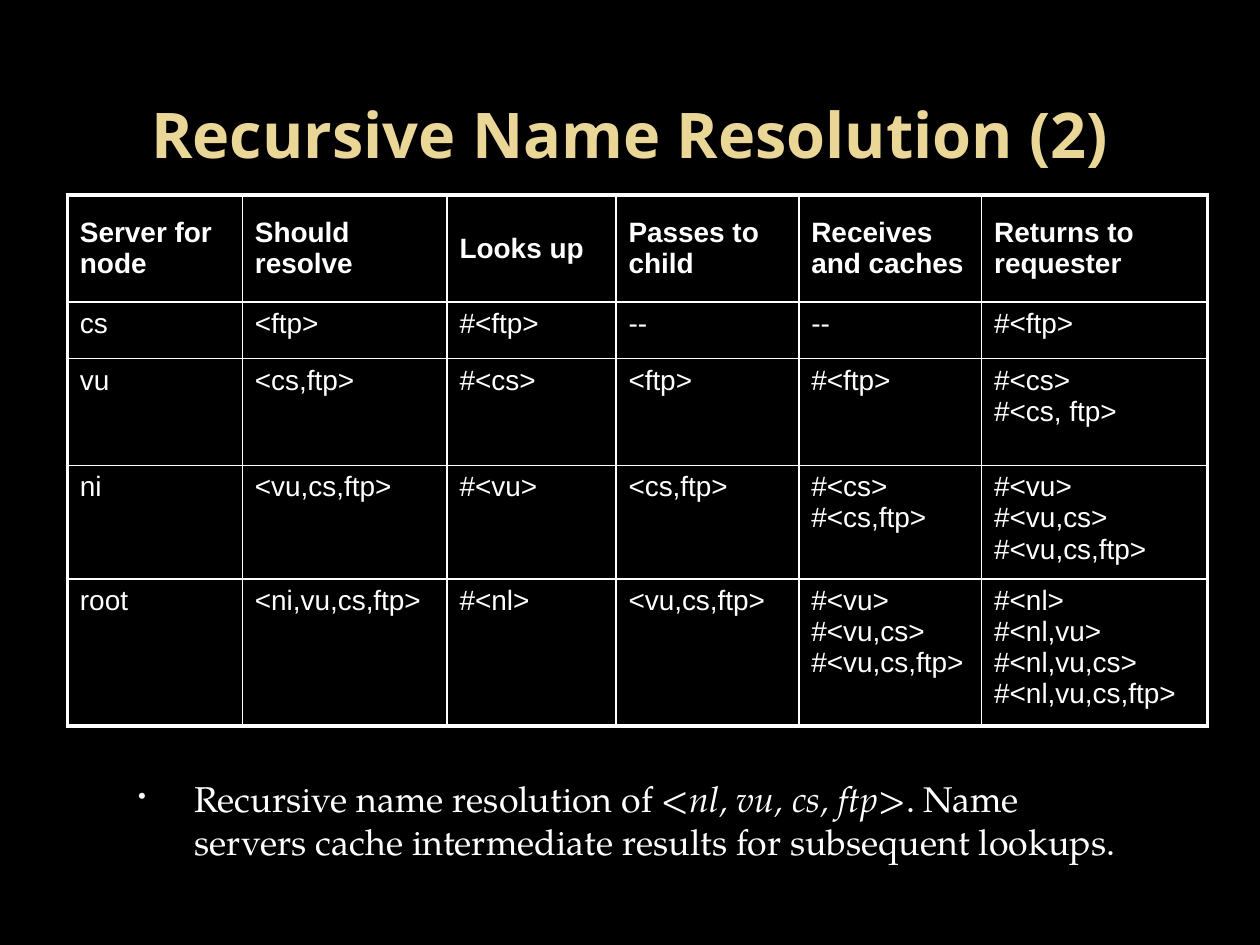
from dataclasses import dataclass

import lxml.etree
import pptx
import pptx.dml.color
import pptx.enum.text
import pptx.oxml.ns
import pptx.util

Pt = pptx.util.Pt
Anchor = pptx.enum.text.MSO_ANCHOR
Align = pptx.enum.text.PP_ALIGN


@dataclass(frozen=True)
class Theme:
    back: str = "000000"
    text: str = "FFFFFF"
    title: str = "EAD696"
    bullet: str = "F9F9F9"
    title_font: str = "Open Sans"
    body_font: str = "TeX Gyre Pagella"
    cell_font: str = "Arial"
    title_size: float = 36
    body_size: float = 20.4
    cell_size: float = 16
    thin: float = 1
    thick: float = 2.25


THEME = Theme()

COLS = [100, 117, 96.5, 104.5, 104.5, 129]
ROWS = [61, 32.5, 61, 65, 84]
CELLS = [
    ["Server for node", "Should resolve", "Looks up", "Passes to child",
     "Receives and caches", "Returns to requester"],
    ["cs", "<ftp>", "#<ftp>", "--", "--", "#<ftp>"],
    ["vu", "<cs,ftp>", "#<cs>", "<ftp>", "#<ftp>", "#<cs>\v#<cs, ftp>"],
    ["ni", "<vu,cs,ftp>", "#<vu>", "<cs,ftp>", "#<cs>\v#<cs,ftp>",
     "#<vu>\v#<vu,cs>\v#<vu,cs,ftp>"],
    ["root", "<ni,vu,cs,ftp>", "#<nl>", "<vu,cs,ftp>",
     "#<vu>\v#<vu,cs>\v#<vu,cs,ftp>",
     "#<nl>\v#<nl,vu>\v#<nl,vu,cs>\v#<nl,vu,cs,ftp>"],
]
NOTE = [
    ("Recursive name resolution of <", False),
    ("nl, vu, cs, ftp", True),
    (">. Name servers cache intermediate results for subsequent lookups.", False),
]


def rgb(color):
    return pptx.dml.color.RGBColor.from_string(color)


def add_node(parent, tag, **attrs):
    return lxml.etree.SubElement(parent, pptx.oxml.ns.qn(tag), attrs)


def set_font(para, name, size, color, bold=False):
    font = para.font
    font.name, font.size, font.bold = name, Pt(size), bold
    font.color.rgb = rgb(color)


def add_box(slide, left, top, width, height, anchor):
    """Add a wrapping text box and return its first paragraph."""
    box = slide.shapes.add_textbox(Pt(left), Pt(top), Pt(width), Pt(height))
    frame = box.text_frame
    frame.word_wrap = True
    frame.vertical_anchor = anchor
    return frame.paragraphs[0]


def add_title(slide, text):
    para = add_box(slide, 54, 31, 612, 90, Anchor.MIDDLE)
    para.text = text
    para.alignment = Align.CENTER
    set_font(para, THEME.title_font, THEME.title_size, THEME.title, True)


def set_bullet(para, left, hang):
    props = para._p.get_or_add_pPr()
    props.set("marL", str(Pt(left)))
    props.set("indent", str(-Pt(hang)))
    add_node(add_node(props, "a:buClr"), "a:srgbClr", val=THEME.bullet)
    add_node(props, "a:buSzPct", val="65000")
    add_node(props, "a:buChar", char="•")


def add_note(slide, parts):
    para = add_box(slide, 61, 440.5, 596, 66, Anchor.TOP)
    set_bullet(para, 43.2, 32.4)
    set_font(para, THEME.body_font, THEME.body_size, THEME.text)
    for text, slant in parts:
        run = para.add_run()
        run.text = text
        if slant:
            run.font.italic = True


def set_edge(cell, side, width):
    props = cell._tc.get_or_add_tcPr()
    line = add_node(props, "a:ln" + side, w=str(Pt(width)))
    add_node(add_node(line, "a:solidFill"), "a:srgbClr", val=THEME.text)


def fill_cell(cell, text, head, outer):
    """Write one cell; outer tells which sides lie on the table's rim."""
    for side, rim in outer.items():
        set_edge(cell, side, THEME.thick if rim else THEME.thin)
    cell.fill.background()
    cell.vertical_anchor = Anchor.MIDDLE if head else Anchor.TOP
    para = cell.text_frame.paragraphs[0]
    para.text = text
    set_font(para, THEME.cell_font, THEME.cell_size, THEME.text, head)


def add_grid(slide, left, top):
    frame = slide.shapes.add_table(len(ROWS), len(COLS), Pt(left), Pt(top),
                                   Pt(sum(COLS)), Pt(sum(ROWS)))
    table = frame.table
    table.first_row = table.horz_banding = False
    for col, width in zip(table.columns, COLS):
        col.width = Pt(width)
    for row, height in zip(table.rows, ROWS):
        row.height = Pt(height)
    for r, texts in enumerate(CELLS):
        for c, text in enumerate(texts):
            outer = {"L": c == 0, "R": c == len(COLS) - 1,
                     "T": r == 0, "B": r == len(ROWS) - 1}
            fill_cell(table.cell(r, c), text, r == 0, outer)


def main():
    deck = pptx.Presentation()
    deck.slide_width, deck.slide_height = Pt(720), Pt(540)
    slide = deck.slides.add_slide(deck.slide_layouts[6])
    fill = slide.background.fill
    fill.solid()
    fill.fore_color.rgb = rgb(THEME.back)
    add_title(slide, "Recursive Name Resolution (2)")
    add_note(slide, NOTE)
    add_grid(slide, 38.5, 111.5)
    deck.save("out.pptx")


if __name__ == "__main__":
    main()
